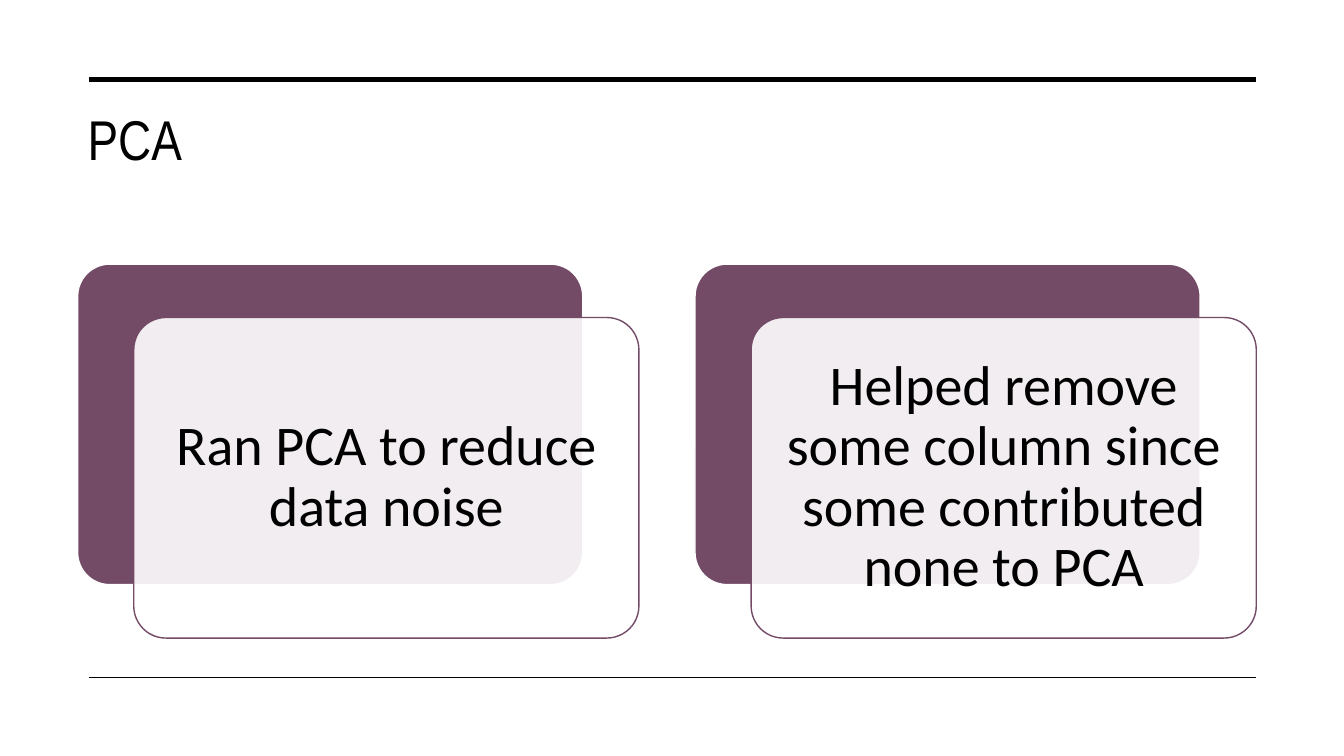
"""Build the PCA slide with two layered cards."""
from dataclasses import dataclass

from lxml import etree
from pptx import Presentation
from pptx.dml.color import RGBColor
from pptx.enum.shapes import MSO_CONNECTOR, MSO_SHAPE
from pptx.enum.text import MSO_ANCHOR, PP_ALIGN
from pptx.oxml.ns import qn
from pptx.util import Inches, Pt

STRAIGHT = MSO_CONNECTOR.STRAIGHT
ROUNDED = MSO_SHAPE.ROUNDED_RECTANGLE
TOP, MIDDLE = MSO_ANCHOR.TOP, MSO_ANCHOR.MIDDLE
LEFT, CENTER = PP_ALIGN.LEFT, PP_ALIGN.CENTER

COLUMNS = 21
CARD_COLUMNS, CARD_ROWS, CARD_TOP_ROW = 9, 6, 4
CARD_PITCH = 11
CARD_TEXTS = (
    "Ran PCA to reduce data noise",
    "Helped remove some column since some contributed none to PCA",
)


@dataclass(frozen=True)
class Theme:
    ink: RGBColor = RGBColor(0x00, 0x00, 0x00)
    paper: RGBColor = RGBColor(0xFF, 0xFF, 0xFF)
    accent: RGBColor = RGBColor(0x73, 0x4B, 0x67)
    title_font: str = "Arial Narrow"
    body_font: str = "Calibri"
    text_size: int = 40
    thick_line: float = 3.5
    thin_line: float = 1
    card_opacity: int = 90


class SlideBuilder:
    def __init__(self, slide, theme):
        self.slide = slide
        self.theme = theme

    def x(self, column):
        return Inches(0.77 + column * 11.69 / COLUMNS)

    def y(self, row):
        return Inches(0.5 + row * 0.53)

    def box(self, column, row, columns, rows):
        left, top = self.x(column), self.y(row)
        return left, top, self.x(column + columns) - left, self.y(row + rows) - top

    def set_text(self, shape, text, font_name, alignment, anchor):
        frame = shape.text_frame
        frame.word_wrap = True
        frame.vertical_anchor = anchor
        paragraph = frame.paragraphs[0]
        paragraph.text = text
        paragraph.alignment = alignment
        paragraph.font.name = font_name
        paragraph.font.size = Pt(self.theme.text_size)
        paragraph.font.color.rgb = self.theme.ink
        return frame

    def title(self, text):
        shape = self.slide.shapes.add_textbox(*self.box(0, 0.92, COLUMNS, 2.38))
        self.set_text(shape, text, self.theme.title_font, LEFT, TOP)

    def rule(self, row, weight):
        connector = self.slide.shapes.add_connector(
            STRAIGHT, self.x(0.2), self.y(row), self.x(COLUMNS), self.y(row))
        connector.line.color.rgb = self.theme.ink
        connector.line.width = Pt(weight)
        etree.SubElement(connector._element.spPr, qn("a:effectLst"))

    def panel(self, column, row, fill, outline):
        shape = self.slide.shapes.add_shape(
            ROUNDED, *self.box(column, row, CARD_COLUMNS, CARD_ROWS))
        shape.adjustments[0] = 0.1
        shape.shadow.inherit = False
        shape.fill.solid()
        shape.fill.fore_color.rgb = fill
        shape.line.color.rgb = outline
        shape.line.width = Pt(self.theme.thin_line)
        return shape

    def card(self, column, text):
        theme = self.theme
        self.panel(column, CARD_TOP_ROW, theme.accent, theme.paper)
        front = self.panel(column + 1, CARD_TOP_ROW + 1, theme.paper, theme.accent)
        color = front._element.spPr.find(qn("a:solidFill"))[0]
        etree.SubElement(color, qn("a:alpha"), val=str(theme.card_opacity * 1000))
        frame = self.set_text(front, text, theme.body_font, CENTER, MIDDLE)
        frame.margin_left = frame.margin_right = Inches(0.17)
        frame.margin_top = frame.margin_bottom = Inches(0.17)
        frame.paragraphs[0].line_spacing = 0.9


def main():
    presentation = Presentation()
    presentation.slide_width = Inches(13.33)
    presentation.slide_height = Inches(7.5)
    theme = Theme()
    builder = SlideBuilder(
        presentation.slides.add_slide(presentation.slide_layouts[6]), theme)
    builder.title("PCA")
    builder.rule(0.55, theme.thick_line)
    builder.rule(11.74, theme.thin_line)
    for index, text in enumerate(CARD_TEXTS):
        builder.card(index * CARD_PITCH, text)
    presentation.save("out.pptx")


if __name__ == "__main__":
    main()
